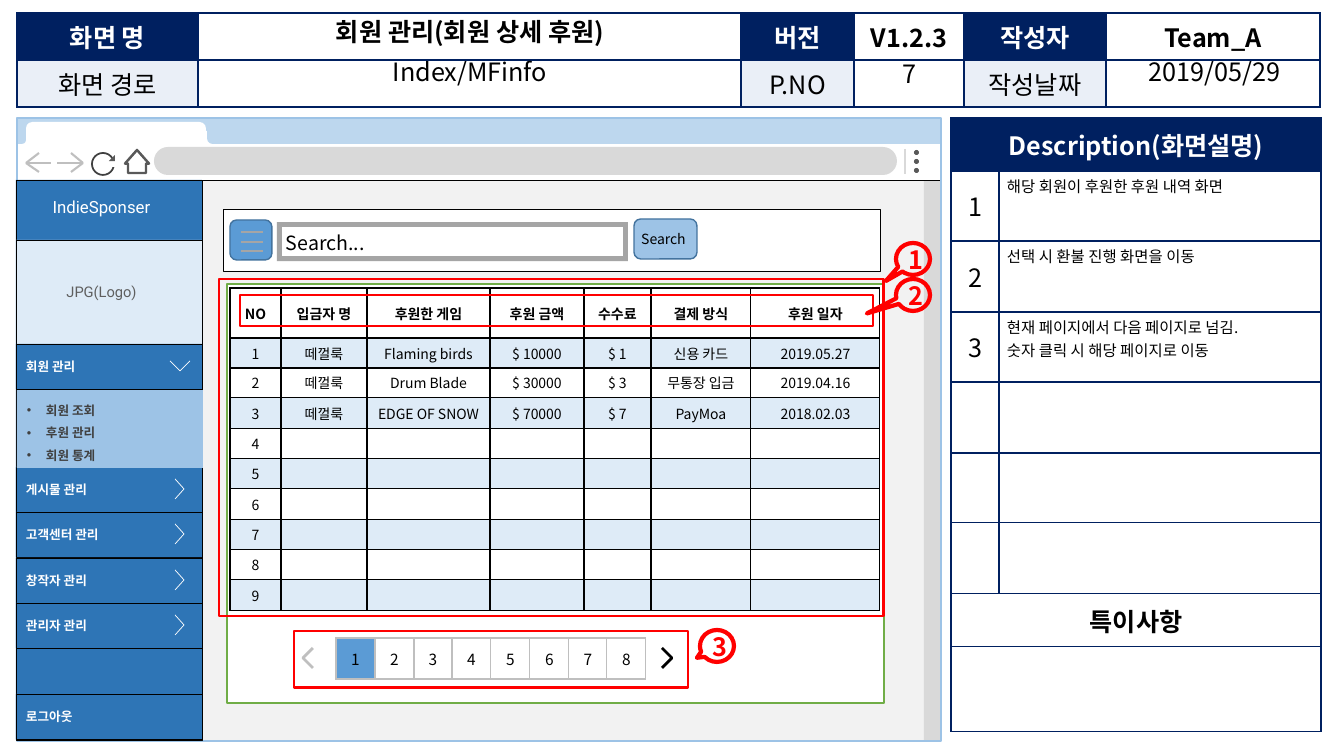
from lxml.etree import SubElement
from pptx import Presentation
from pptx.dml.color import RGBColor as RGB
from pptx.enum.shapes import MSO_CONNECTOR as LINK, MSO_SHAPE as KIND
from pptx.enum.text import MSO_ANCHOR as ANCHOR, MSO_AUTO_SIZE as AUTO, PP_ALIGN as ALIGN
from pptx.oxml.ns import qn
from pptx.util import Pt

PX = 9071
FONT = "Noto Sans CJK KR"
INK = {
    "black": "000000", "white": "FFFFFF", "navy": "002060", "pale": "EAEFF7",
    "blue": "2E75B6", "mid": "5B9BD5", "light": "9DC3E6", "sky": "BDD7EE",
    "ice": "DEEBF7", "edge": "43739E", "red": "FF0000", "green": "70AD47",
    "dark": "404040", "dim": "595959", "text": "5F5F5F", "grey": "A5A5A5",
    "soft": "BFBFBF", "bar": "D9D9D9", "page": "F2F2F2",
}
TONE = {name: RGB.from_string(code) for name, code in INK.items()}


def write(frame, text, size=18, color="black", bold=False, name=FONT, align=ALIGN.CENTER,
          anchor=ANCHOR.MIDDLE, pad=(10, 5, 10, 5), wrap=True, **space):
    """Fill a text frame, one paragraph a line; pad is left, top, right, bottom."""
    frame.word_wrap, frame.auto_size, frame.vertical_anchor = wrap, AUTO.NONE, anchor
    for side, gap in zip(("left", "top", "right", "bottom"), pad):
        setattr(frame, f"margin_{side}", gap * PX)
    frame.text = text
    for para in frame.paragraphs:
        para.alignment = align
        for key, val in space.items():
            setattr(para, key, val)
        for run in para.runs:
            for key, val in {"size": Pt(size), "bold": bold, "name": name}.items():
                setattr(run.font, key, val)
            run.font.color.rgb = TONE[color]
            SubElement(run._r.get_or_add_rPr(), qn("a:ea"), typeface=FONT)


def box(kind, at, fill=None, line=None, width=0.5, adj=(), text="", **fmt):
    shape = slide.shapes.add_shape(kind, *[v * PX for v in at])
    shape.shadow.inherit = False
    for i, val in enumerate(adj):
        shape.adjustments[i] = val
    if fill:
        shape.fill.solid()
        shape.fill.fore_color.rgb = TONE[fill]
    else:
        shape.fill.background()
    if line:
        shape.line.color.rgb, shape.line.width = TONE[line], Pt(width)
    else:
        shape.line.fill.background()
    if text:
        write(shape.text_frame, text, **fmt)


deck = Presentation()
deck.slide_width, deck.slide_height = 1344 * PX, 756 * PX
slide = deck.slides.add_slide(deck.slide_layouts[4])
holders = {h.placeholder_format.idx: h for h in slide.placeholders}
tree = slide.shapes._spTree
RECT, ROUND, OVAL = KIND.RECTANGLE, KIND.ROUNDED_RECTANGLE, KIND.OVAL

# Browser window
box(RECT, (16, 179, 924, 561), "page", "black")
box(RECT, (924, 180, 17, 560), "bar")
box(RECT, (17, 143, 924, 37), "white", "black")
box(ROUND, (154, 147, 743, 28), "bar", adj=[0.5])
for y in (150, 159, 168):
    box(OVAL, (914, y, 5, 5), "dim")
box(RECT, (17, 118, 924, 26), "sky")
box(OVAL, (92, 153, 22, 22), None, "dark", 1.25)
box(RECT, (110, 159, 8, 8), "white")
box(KIND.ISOSCELES_TRIANGLE, (109, 155, 6, 6), "dim", adj=[1])
box(KIND.UP_ARROW, (125, 150, 24, 23), "white", "dim", 1.75, [0.75, 0.59])
for at, fill, adj in (
    ((26, 122, 180, 23), "white", 0.28), ((190, 131, 34, 15), "white", 0.17),
    ((207, 124, 128, 20), "sky", 0.28), ((21, 131, 13, 15), "white", 0.17),
    ((17, 124, 9, 20), "sky", 0.46),
):
    box(ROUND, at, fill, adj=[adj])
box(RECT, (17, 118, 924, 623), None, "light", 1)

# Side menu
box(RECT, (16, 180, 186, 560), "blue", "black", text="IndieSponser", size=12, color="white",
    name="Roboto", anchor=ANCHOR.TOP, pad=(10, 17, 25, 5))
box(RECT, (16, 240, 186, 104), "ice", "black", text="JPG(Logo)", size=10.5, color="text",
    name="Roboto", pad=(10, 5, 25, 5))
menu = {"회원 관리": 344, "게시물 관리": 467, "고객센터 관리": 512,
        "창작자 관리": 558, "관리자 관리": 603, "로그아웃": 694}
for label, y in menu.items():
    box(RECT, (16, y, 186, 45), "blue", "black", text=label, size=9, color="white",
        bold=True, name="Roboto", align=ALIGN.LEFT, pad=(10, 5, 25, 5))

# Search bar and result panel
box(RECT, (223, 209, 657, 62), "white", "black")
box(ROUND, (230, 220, 42, 40), "mid", "edge", 1)
box(KIND.FRAME, (277, 222, 351, 39), "grey", adj=[0.125], text="Search...", size=14,
    align=ALIGN.LEFT, pad=(4, 2, 0, 0), wrap=False)
box(ROUND, (634, 219, 63, 40), "light", "edge", 1, text="Search", size=10,
    pad=(0, 0, 4, 0), wrap=False)
box(RECT, (227, 284, 657, 419), "white", "green", 1)

# Straight lines
lines = [(905, 149, 905, 174, "bar", 1)]
for tip, tail, neck in ((26, 51, 39), (83, 57, 71)):
    lines += [(tip, 163, x, y, "soft", 1.5) for x, y in ((tail, 163), (neck, 153), (neck, 172))]
lines += [(241, y, 263, y, "grey", 1.5) for y in (232, 242, 251)]
for *ends, color, width in lines:
    link = slide.shapes.add_connector(LINK.STRAIGHT, *[v * PX for v in ends])
    link.line.color.rgb, link.line.width = TONE[color], Pt(width)
    SubElement(link._element.spPr, qn("a:effectLst"))

# Chevrons
marks = [([(170, 361), (180, 371), (190, 361)], "white", 0.5),
         ([(662, 648), (672, 658), (662, 668)], "black", 2),
         ([(313, 648), (303, 658), (313, 668)], "soft", 2)]
for y in list(menu.values())[1:-1]:
    marks.append(([(175, y + 12), (184, y + 22), (175, y + 32)], "white", 0.5))
for points, color, width in marks:
    pen = slide.shapes.build_freeform(*points[0], scale=PX)
    pen.add_line_segments(points[1:], close=False)
    mark = pen.convert_to_shape()
    mark.shadow.inherit = False
    mark.fill.background()
    mark.line.color.rgb, mark.line.width = TONE[color], Pt(width)

# Tables: place, columns, rows, border, texts, look of a cell
header = [["화면 명", "", "버전", "V1.2.3", "작성자", "Team_A"],
          ["화면 경로", "", "P.NO", "", "작성날짜", ""]]
notes = [["Description(화면설명)", ""],
         ["1", "해당 회원이 후원한 후원 내역 화면"],
         ["2", "선택 시 환불 진행 화면을 이동"],
         ["3", "현재 페이지에서 다음 페이지로 넘김.\n숫자 클릭 시 해당 페이지로 이동"],
         ["", ""], ["", ""], ["", ""], ["특이사항", ""], ["", ""]]
gifts = [["NO", "입금자 명", "후원한 게임", "후원 금액", "수수료", "결제 방식", "후원 일자"],
         ["1", "떼껄룩", "Flaming birds", "$ 10000", "$ 1", "신용 카드", "2019.05.27"],
         ["2", "떼껄룩", "Drum Blade", "$ 30000", "$ 3", "무통장 입금", "2019.04.16"],
         ["3", "떼껄룩", "EDGE OF SNOW", "$ 70000", "$ 7", "PayMoa", "2018.02.03"]]
gifts += [[str(n)] + [""] * 6 for n in range(4, 10)]
tables = [
    ((17, 13), [181, 543, 113, 110, 142, 214], [47, 47], "navy", header,
     lambda r, c: {"fill": "white" if c % 2 else ("navy", "pale")[r], "bold": r == 0,
                   "color": "black" if c % 2 or r else "white"}),
    ((951, 118), [48, 322], [53] + [70, 71] * 3 + [53, 85], "navy", notes,
     lambda r, c: {"fill": None if r else "navy", "bold": r in (0, 7),
                   "color": "black" if r else "white", "size": 11 if c else 18,
                   "align": ALIGN.LEFT if c else ALIGN.CENTER,
                   "anchor": ANCHOR.TOP if c else ANCHOR.MIDDLE}),
    ((230, 288), [51, 86, 123, 94, 67, 100, 129], [50] + [30, 30, 31] * 3, "black", gifts,
     lambda r, c: {"fill": "ice" if r % 2 else None, "bold": r == 0, "size": 10}),
    ((336, 638), [39, 39, 38, 39] * 2, [41], "soft", [[str(n) for n in range(1, 9)]],
     lambda r, c: {"fill": "white" if c else "mid", "size": 11}),
]
for (x, y), cols, rows, edge, texts, look in tables:
    size = [v * PX for v in (x, y, sum(cols), sum(rows))]
    table = slide.shapes.add_table(len(rows), len(cols), *size).table
    table.first_row = table.horz_banding = False
    for col, width in zip(table.columns, cols):
        col.width = width * PX
    for r, height in enumerate(rows):
        table.rows[r].height = height * PX
        for c, text in enumerate(texts[r]):
            cell, fmt = table.cell(r, c), look(r, c)
            fill = fmt.pop("fill")
            if fill:
                cell.fill.solid()
                cell.fill.fore_color.rgb = TONE[fill]
            else:
                cell.fill.background()
            pad, anchor = (8, 4, 8, 4), fmt.pop("anchor", ANCHOR.MIDDLE)
            write(cell.text_frame, text, **fmt)
            for side, gap in zip(("left", "top", "right", "bottom"), pad):
                setattr(cell, f"margin_{side}", gap * PX)
            cell.vertical_anchor = anchor
            props = cell._tc.get_or_add_tcPr()
            for attr in ("wrap", "lIns", "tIns", "rIns", "bIns"):
                props.attrib.pop(attr, None)
            if not text:
                para = cell.text_frame.paragraphs[0]._p
                SubElement(para, qn("a:endParaRPr"), sz=str(fmt.get("size", 18) * 100))
            for i, side in enumerate(("lnL", "lnR", "lnT", "lnB")):
                rim = SubElement(props, qn(f"a:{side}"), w=str(Pt(1)))
                SubElement(SubElement(rim, qn("a:solidFill")), qn("a:srgbClr"), val=INK[edge])
                props.insert(i, rim)
    if texts is notes:
        for r in (0, 7, 8):
            table.cell(r, 0).merge(table.cell(r, 1))

# Title, header values and submenu
for idx, at, text, bold in (
    (0, (199, 14, 542, 38), "회원 관리(회원 상세 후원)", True),
    (1, (199, 54, 542, 38), "Index/MFinfo", False),
    (3, (1108, 54, 213, 38), "2019/05/29", False),
    (2, (17, 390, 186, 78), "회원 조회\n후원 관리\n회원 통계", True),
):
    holder = holders[idx]
    for key, val in zip(("left", "top", "width", "height"), at):
        setattr(holder, key, val * PX)
    fmt = {"bold": bold, "line_spacing": 0.9, "space_before": Pt(0)}
    if idx == 2:
        holder.fill.solid()
        holder.fill.fore_color.rgb = TONE["light"]
        fmt |= {"size": 9, "color": "dark", "name": "Roboto", "align": ALIGN.LEFT,
                "line_spacing": 1.5}
    write(holder.text_frame, text, **fmt)
    if idx == 2:
        for para in holder.text_frame.paragraphs:
            for key, val in {"marL": 19 * PX, "indent": -19 * PX}.items():
                para._p.get_or_add_pPr().set(key, str(val))
    tree.append(holder._element)
tree.remove(holders[4]._element)
page = slide.shapes.add_textbox(*[v * PX for v in (855, 54, 109, 38)])
write(page.text_frame, "7")

# Numbered highlights
for at in ((219, 279, 665, 337), (240, 295, 633, 31), (294, 631, 394, 57)):
    box(RECT, at, None, "red", 2)
for n, (x, y, *adj) in enumerate(((896, 243, -0.8, 0.69), (896, 279, -1.36, 0.58),
                                  (700, 630, -0.59, 0.37)), 1):
    box(KIND.OVAL_CALLOUT, (x, y, 34, 32), None, "red", 3, adj, str(n), color="red",
        bold=True, pad=(6, 0, 0, 0), wrap=False)

deck.save("out.pptx")
